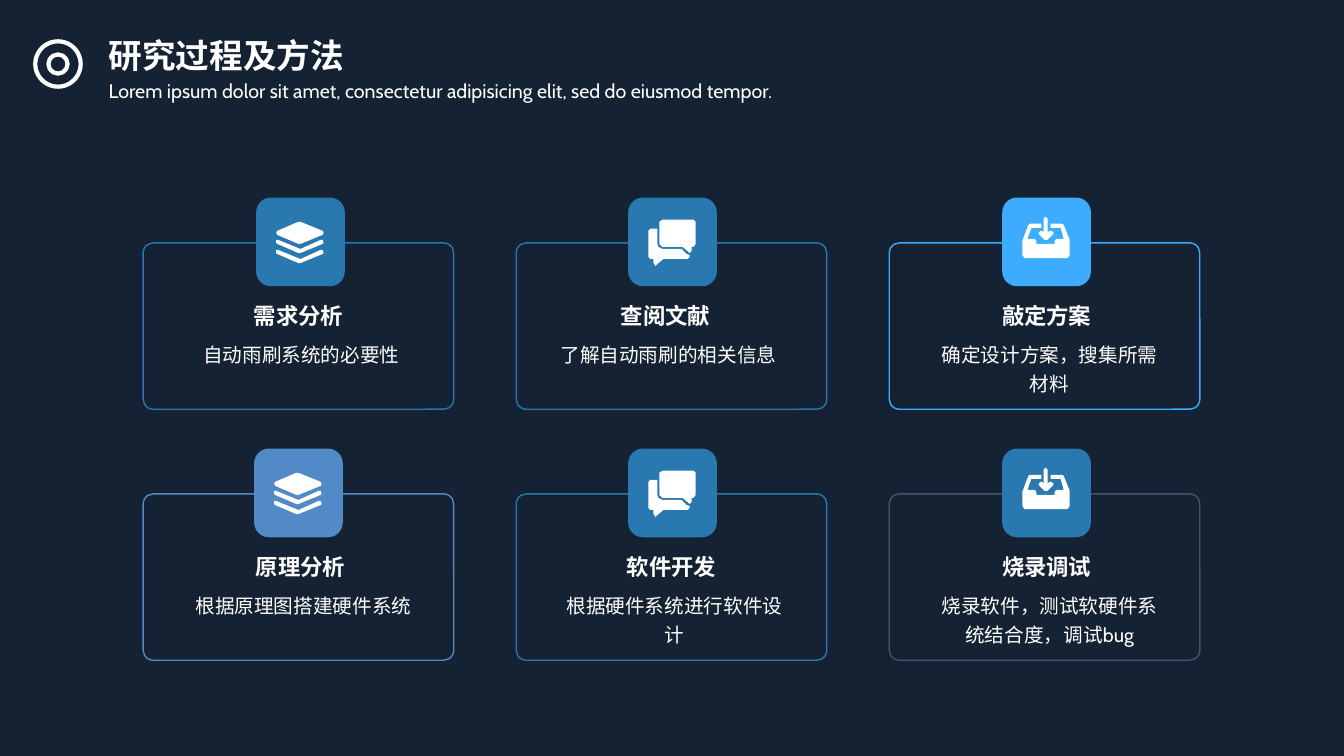
"""Build the research process and methods slide."""
from dataclasses import dataclass

from lxml import etree
from pptx import Presentation
from pptx import util as u
from pptx.dml.color import RGBColor
from pptx.enum import shapes, text
from pptx.oxml.ns import qn


@dataclass(frozen=True)
class Theme:
    """Colours, font and type sizes of the slide."""
    background: str = "142233"
    white: str = "FFFFFF"
    blue: str = "2A78B0"
    sky: str = "3DACFE"
    steel: str = "518AC6"
    slate: str = "44546A"
    font: str = "Cabin"
    title: int = 24
    heading: int = 16
    body: int = 14


@dataclass(frozen=True)
class Icon:
    """Outlines in hundredths of an inch and the drop from the tile's top."""
    drop: float
    outlines: tuple


@dataclass(frozen=True)
class Step:
    """One card of the process."""
    heading: str
    body: str
    icon: Icon
    tile_left: float
    heading_left: float
    frame_color: str
    tile_color: str


THEME = Theme()
COLUMNS = 3
FRAME_LEFT, FRAME_TOP = 1.42, 2.41
FRAME_WIDTH, FRAME_HEIGHT = 3.08, 1.65
COLUMN_GAP, ROW_PITCH = 0.62, 2.49
TILE_RISE, TILE_SIZE, ICON_INSET = 0.45, 0.88, 0.2
HEADING_DROP, BODY_DROP, BODY_SHIFT = 0.49, 0.9, 0.69


def chevron(top):
    """Return the outline of a lower layer that starts at the given height."""
    points = [(2, 0), (24, 9), (44, 0), (46, 0.5), (47, 3), (46, 4),
              (24, 13), (22, 13), (1, 4), (0, 3), (0.5, 0.5)]
    return [(x, y + top) for x, y in points]


LAYERS = Icon(0.24, (
    [(22, 0), (24, 0), (46, 9), (47, 11), (46, 13), (24, 22), (22, 22), (1, 13), (0, 11), (1, 9)],
    chevron(18),
    chevron(28),
))
CHAT = Icon(0.22, (
    [(14, 0), (45, 0), (47, 2), (47, 24), (45, 27), (43, 27), (43, 31), (41, 33),
     (40, 32), (34, 27), (14, 27), (11, 24), (11, 2)],
    [(33, 29), (38, 34), (41, 35), (41, 37), (39, 39), (15, 39), (9, 44), (7, 46),
     (6, 44), (5, 43), (5, 39), (2, 39), (0, 37), (0, 11), (2, 9), (9, 9),
     (9, 24), (10, 27), (14, 29)],
))
TRAY = Icon(0.19, (
    [(2, 41), (0, 38), (0, 24), (6, 8), (8, 7), (19, 7), (19, 11), (9, 11), (5, 22),
     (12, 22), (14, 24), (14, 27), (32, 27), (32, 24), (34, 22), (41, 22), (38, 11),
     (28, 11), (28, 7), (39, 7), (41, 8), (47, 23), (47, 38), (45, 41)],
    [(31, 16), (30, 18), (25, 23), (22, 23), (17, 18), (16, 16), (18, 14), (20, 14),
     (21, 16), (21, 2), (23, 0), (25, 2), (25, 16), (27, 14), (29, 14)],
))
STEPS = [
    Step("需求分析", "自动雨刷系统的必要性", LAYERS, 2.54, 2.42, THEME.blue, THEME.blue),
    Step("查阅文献", "了解自动雨刷的相关信息", CHAT, 6.23, 6.06, THEME.blue, THEME.blue),
    Step("敲定方案", "确定设计方案，搜集所需材料", TRAY, 9.94, 9.84, THEME.sky, THEME.sky),
    Step("原理分析", "根据原理图搭建硬件系统", LAYERS, 2.52, 2.44, THEME.steel, THEME.steel),
    Step("软件开发", "根据硬件系统进行软件设计", CHAT, 6.23, 6.12, THEME.blue, THEME.blue),
    Step("烧录调试", "烧录软件，测试软硬件系统结合度，调试bug", TRAY, 9.94, 9.84, THEME.slate, THEME.blue),
]


def paint(shape, fill=None, line=None, line_width=1):
    """Give a shape its fill and line, and take away its shadow."""
    shape.shadow.inherit = False
    if fill:
        shape.fill.solid()
        shape.fill.fore_color.rgb = RGBColor.from_string(fill)
    else:
        shape.fill.background()
    if line:
        shape.line.color.rgb = RGBColor.from_string(line)
        shape.line.width = u.Pt(line_width)
    else:
        shape.line.fill.background()


def add_preset(slide, kind, left, top, width, height, **style):
    """Add a painted preset shape."""
    shape = slide.shapes.add_shape(
        kind, u.Inches(left), u.Inches(top), u.Inches(width), u.Inches(height))
    paint(shape, **style)
    return shape


def add_text(slide, words, left, top, width, height, size, bold=False, centred=False, before=0):
    """Add a text box with one paragraph."""
    box = slide.shapes.add_textbox(
        u.Inches(left), u.Inches(top), u.Inches(width), u.Inches(height))
    box.text_frame.word_wrap = True
    box.text_frame.auto_size = text.MSO_AUTO_SIZE.SHAPE_TO_FIT_TEXT
    paragraph = box.text_frame.paragraphs[0]
    paragraph.alignment = text.PP_ALIGN.CENTER if centred else text.PP_ALIGN.LEFT
    paragraph.line_spacing = 1.2
    paragraph.space_before = u.Pt(before)
    run = paragraph.add_run()
    run.text = words
    run.font.size = u.Pt(size)
    run.font.bold = bold
    run.font.name = THEME.font
    run.font.color.rgb = RGBColor.from_string(THEME.white)
    etree.SubElement(run.font._element, qn("a:ea"), typeface=THEME.font)


def add_icon(slide, icon, left, top):
    """Draw the outlines of an icon as one white freeform."""
    first, *others = icon.outlines
    builder = slide.shapes.build_freeform(*first[0], scale=u.Inches(0.01))
    builder.add_line_segments(first[1:], close=True)
    for outline in others:
        builder.move_to(*outline[0])
        builder.add_line_segments(outline[1:], close=True)
    paint(builder.convert_to_shape(u.Inches(left), u.Inches(top)), fill=THEME.white)


def add_step(slide, step, row, column):
    """Add a card with its frame, tile, icon and texts."""
    rounded = shapes.MSO_SHAPE.ROUNDED_RECTANGLE
    left = FRAME_LEFT + column * (FRAME_WIDTH + COLUMN_GAP)
    top = FRAME_TOP + row * ROW_PITCH
    tile_top = top - TILE_RISE
    frame = add_preset(slide, rounded, left, top, FRAME_WIDTH, FRAME_HEIGHT,
                       line=step.frame_color)
    frame.adjustments[0] = 0.06
    add_preset(slide, rounded, step.tile_left, tile_top, TILE_SIZE, TILE_SIZE, fill=step.tile_color)
    add_icon(slide, step.icon, step.tile_left + ICON_INSET, tile_top + step.icon.drop)
    add_text(slide, step.heading, step.heading_left, top + HEADING_DROP, 1.13, 0.4,
             THEME.heading, bold=True)
    add_text(slide, step.body, step.heading_left - BODY_SHIFT, top + BODY_DROP, 2.52, 0.64,
             THEME.body, centred=True)


def add_header(slide):
    """Add the rings, title and subtitle."""
    for inset, size in ((0, 0.45), (0.13, 0.19)):
        add_preset(slide, shapes.MSO_SHAPE.OVAL, 0.35 + inset, 0.41 + inset, size, size,
                   line=THEME.white, line_width=3)
    add_text(slide, "研究过程及方法", 0.98, 0.22, 2.9, 0.54, THEME.title, bold=True)
    add_text(slide, "Lorem ipsum dolor sit amet, consectetur adipisicing elit, sed do eiusmod tempor.",
             0.98, 0.69, 7.85, 0.36, THEME.body, before=10)


def main():
    """Build and save the presentation."""
    presentation = Presentation()
    presentation.slide_width = u.Inches(13.33)
    presentation.slide_height = u.Inches(7.5)
    slide = presentation.slides.add_slide(presentation.slide_layouts[6])
    slide.background.fill.solid()
    slide.background.fill.fore_color.rgb = RGBColor.from_string(THEME.background)
    add_header(slide)
    for index, step in enumerate(STEPS):
        add_step(slide, step, *divmod(index, COLUMNS))
    presentation.save("out.pptx")


if __name__ == "__main__":
    main()
